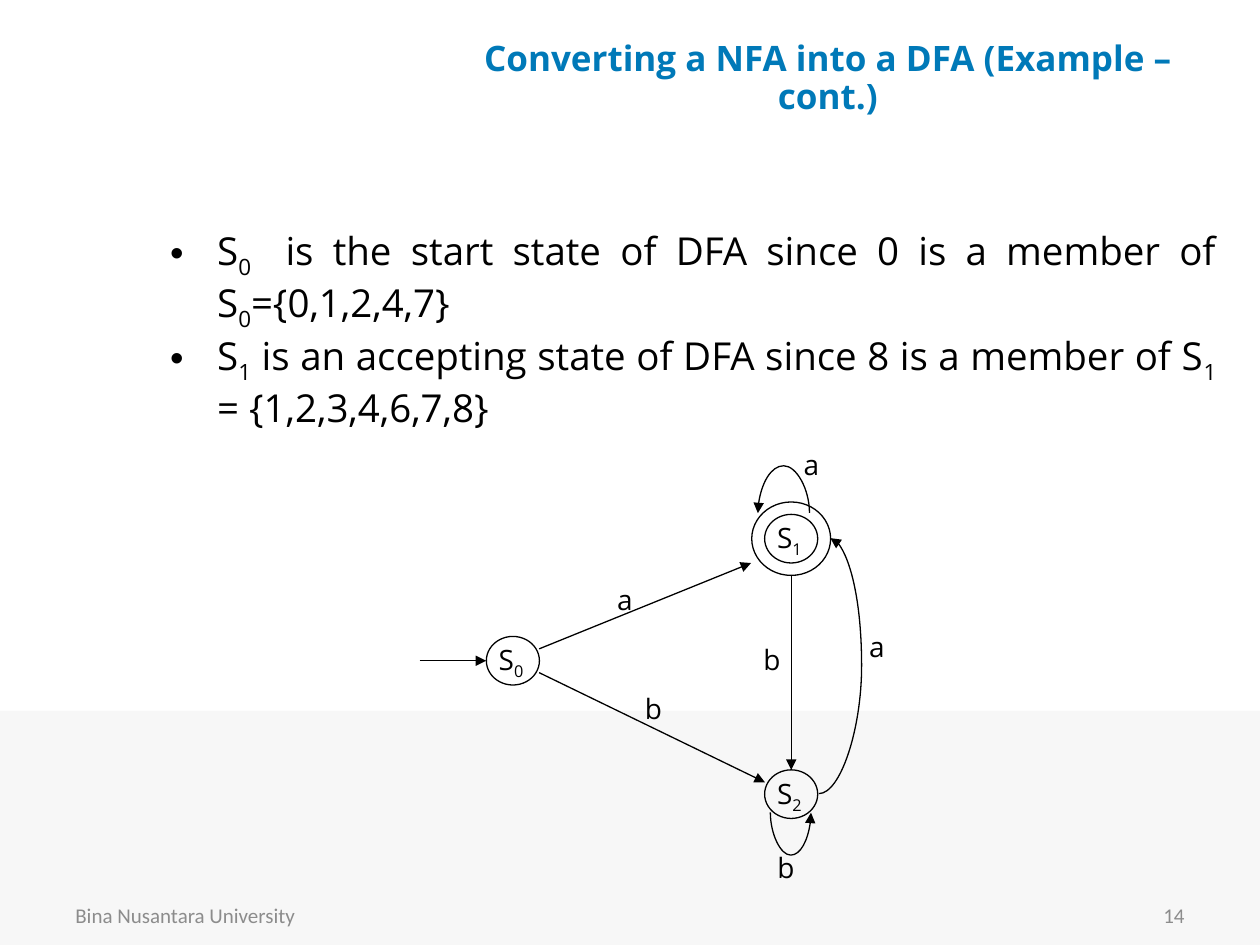
from lxml import etree
from pptx import Presentation
from pptx.dml.color import RGBColor
from pptx.enum.shapes import MSO_CONNECTOR, MSO_SHAPE
from pptx.enum.text import MSO_ANCHOR, PP_ALIGN
from pptx.oxml.ns import qn
from pptx.util import Cm, Pt

STRAIGHT, CURVE = MSO_CONNECTOR.STRAIGHT, MSO_CONNECTOR.CURVE
RECTANGLE, OVAL = MSO_SHAPE.RECTANGLE, MSO_SHAPE.OVAL
LEFT, CENTER, RIGHT, JUSTIFY = PP_ALIGN.LEFT, PP_ALIGN.CENTER, PP_ALIGN.RIGHT, PP_ALIGN.JUSTIFY
TOP, MIDDLE = MSO_ANCHOR.TOP, MSO_ANCHOR.MIDDLE


def color(hex_value):
    """Turn a hex string into a colour."""
    return RGBColor.from_string(hex_value)


class AutomatonSlide:
    """Hold the style and the current slide; all lengths are centimetres."""

    font, ink, blue, grey, band = "Open Sans", "000000", "0079B8", "8C8C8C", "F7F7F7"
    line_width = Pt(0.75)
    circle, ring = (1.07, 0.98), (1.59, 1.48)
    loop_base = 0.005

    def __init__(self, slide):
        """Start drawing on the given slide."""
        self.slide = slide

    def footer_band(self, left, top, width, height):
        """Draw the tinted band at the foot of the slide."""
        band = self.slide.shapes.add_shape(RECTANGLE, Cm(left), Cm(top), Cm(width), Cm(height))
        band.shadow.inherit = False
        band.fill.solid()
        band.fill.fore_color.rgb = color(self.band)
        band.line.fill.background()

    def text(self, box, paragraphs, size, hue=ink, font=font, align=LEFT, anchor=TOP,
             wrap=True, bold=False, bullets=False, spacing=None):
        """Add paragraphs, each a list whose every second piece is a subscript."""
        frame = self.slide.shapes.add_textbox(*map(Cm, box)).text_frame
        frame.word_wrap = wrap
        frame.vertical_anchor = anchor
        for index, pieces in enumerate(paragraphs):
            paragraph = frame.add_paragraph() if index else frame.paragraphs[0]
            paragraph.alignment = align
            if spacing:
                paragraph.line_spacing = spacing
            if bullets:
                self.bullet(paragraph)
            paragraph.font.size = Pt(size)
            paragraph.font.name = font
            paragraph.font.bold = bold
            paragraph.font.color.rgb = color(hue)
            for position, piece in enumerate(pieces):
                run = paragraph.add_run()
                run.text = piece
                if position % 2:
                    run.font._element.set("baseline", "-25000")

    def bullet(self, paragraph):
        """Give a paragraph a hanging round bullet."""
        properties = paragraph._p.get_or_add_pPr()
        properties.set("marL", str(Cm(0.95)))
        properties.set("indent", str(-Cm(0.95)))
        etree.SubElement(properties, qn("a:buFont")).set("typeface", "Arial")
        etree.SubElement(properties, qn("a:buChar")).set("char", "•")

    def oval(self, center, size):
        """Draw an unfilled oval around a centre."""
        (x, y), (width, height) = center, size
        oval = self.slide.shapes.add_shape(
            OVAL, Cm(x - width / 2), Cm(y - height / 2), Cm(width), Cm(height))
        oval.shadow.inherit = False
        oval.fill.background()
        oval.line.color.rgb = color(self.ink)
        oval.line.width = self.line_width

    def state(self, center, number, accepting=False):
        """Draw a numbered state, with a second ring if it accepts."""
        if accepting:
            self.oval(center, self.ring)
        self.oval(center, self.circle)
        left, top = (middle - side / 2 for middle, side in zip(center, self.circle))
        self.text((left, top, 1.09, 0.94), [["S", number]], 16, wrap=False)

    def symbol(self, left, top, letter):
        """Label a transition with its input symbol."""
        self.text((left, top, 0.84, 0.94), [[letter]], 16, wrap=False)

    def arrow(self, start, end, kind=STRAIGHT, bend=None):
        """Draw a transition arrow, optionally with a curve adjustment."""
        arrow = self.slide.shapes.add_connector(kind, *map(Cm, start + end))
        arrow.line.color.rgb = color(self.ink)
        arrow.line.width = self.line_width
        etree.SubElement(arrow.line._get_or_add_ln(), qn("a:tailEnd")).set("type", "triangle")
        properties = arrow._element.spPr
        etree.SubElement(properties, qn("a:effectLst"))
        if bend is not None:
            guides = properties.find(qn("a:prstGeom")).get_or_add_avLst()
            guide = etree.SubElement(guides, qn("a:gd"))
            guide.set("name", "adj1")
            guide.set("fmla", f"val {round(bend * 100000)}")
        return arrow

    def loop(self, center, span, reach):
        """Draw a self-loop; a negative reach goes up and runs right to left."""
        x, y = center
        left, top = x - self.loop_base / 2, y - span / 2
        arrow = self.arrow((left, top), (left + self.loop_base, top + span),
                           CURVE, reach / self.loop_base)
        transform = arrow._element.spPr.find(qn("a:xfrm"))
        transform.set("rot", "16200000")
        transform.set("flipH", "1")
        if reach < 0:
            transform.set("flipV", "1")


def main():
    """Build and save the slide."""
    presentation = Presentation()
    presentation.slide_width, presentation.slide_height = Cm(25.4), Cm(19.05)
    page = AutomatonSlide(presentation.slides.add_slide(presentation.slide_layouts[6]))

    page.footer_band(0, 14.33, 25.4, 4.72)
    page.text((8.46, 0.43, 16.46, 2.34), [["Converting a NFA into a DFA (Example – cont.)"]],
              20, page.blue, align=CENTER, anchor=MIDDLE, bold=True, spacing=0.9)
    page.text((3.18, 4.45, 21.59, 4.01), [
        ["S", "0 ", " is the start state of DFA since 0 is a member of S", "0", "={0,1,2,4,7}"],
        ["S", "1", " is an accepting state of DFA since 8 is a member of S", "1 ",
         "= {1,2,3,4,6,7,8}"],
    ], 22, align=JUSTIFY, bullets=True)

    start, accept, last = (10.34, 13.32), (15.95, 10.86), (15.95, 16.01)
    page.state(start, "0")
    page.state(accept, "1", accepting=True)
    page.state(last, "2")

    page.arrow((8.46, 13.32), (9.8, 13.32))
    page.arrow((10.87, 13.08), (15.14, 11.35))
    page.arrow((10.87, 13.56), (15.42, 15.77))
    page.arrow((15.95, 11.6), (15.95, 15.52))
    page.arrow((16.51, 16), (16.74, 10.85), CURVE, 3.74)
    page.loop((15.8, 10.34), 1.04, -0.95)
    page.loop((15.94, 16.38), 0.82, 0.86)

    for left, top, letter in [(12.75, 13.82, "b"), (17.27, 12.57, "a"), (15.95, 8.89, "a"),
                              (15.42, 17.02, "b"), (15.14, 12.83, "b"), (12.19, 11.61, "a")]:
        page.symbol(left, top, letter)

    for left, note, align in [(1.27, "Bina Nusantara University", LEFT), (18.21, "14", RIGHT)]:
        page.text((left, 17.93, 5.92, 1.02), [[note]], 12, page.grey, "Calibri", align, MIDDLE)

    presentation.save("out.pptx")


if __name__ == "__main__":
    main()
